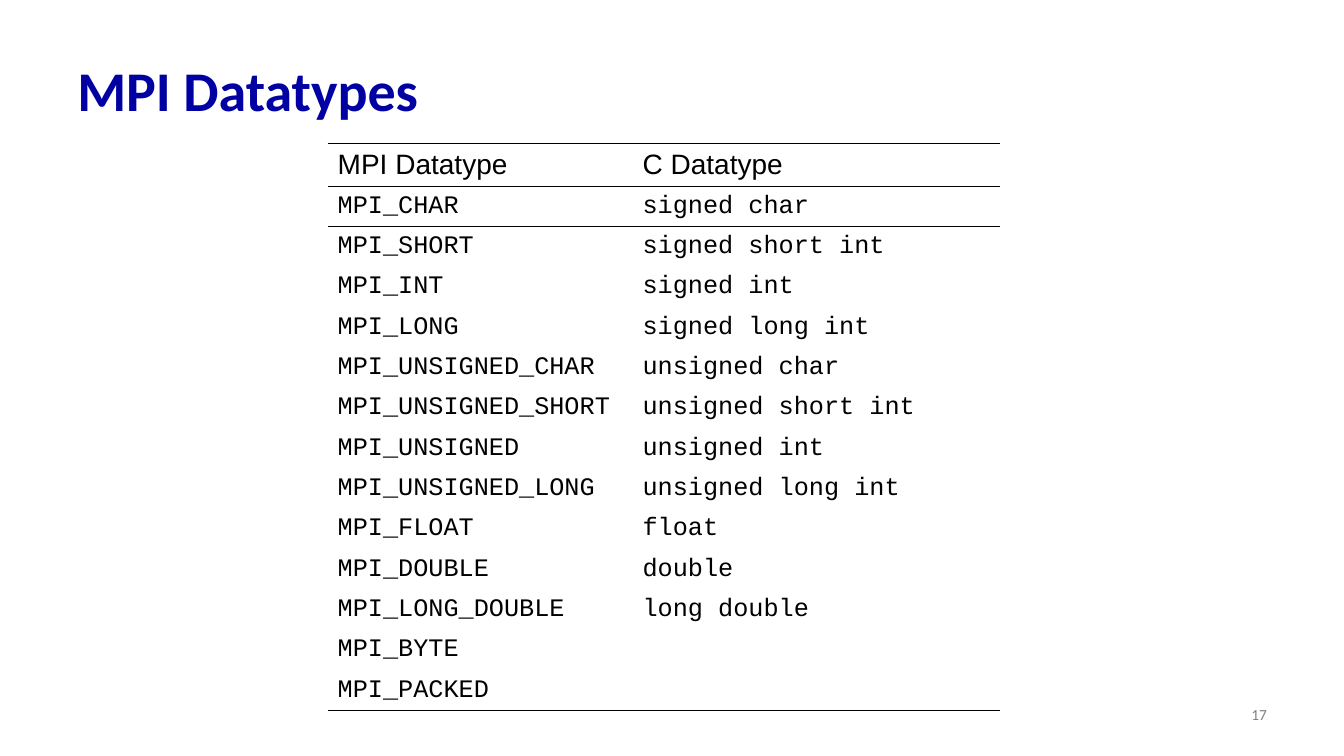
from lxml.etree import SubElement
from pptx import Presentation
from pptx.dml.color import RGBColor
from pptx.enum.text import MSO_ANCHOR, PP_ALIGN
from pptx.oxml.ns import qn
from pptx.util import Inches, Pt

COLS, ROWS = 160, 75
WIDE, HIGH = 13.333, 7.5
PLAIN = "{2D5ABB26-0587-4C30-8999-92F81FD0307C}"  # table style without grid

TYPES = [
    ("MPI Datatype", "C Datatype"),
    ("MPI_CHAR", "signed char"),
    ("MPI_SHORT", "signed short int"),
    ("MPI_INT", "signed int"),
    ("MPI_LONG", "signed long int"),
    ("MPI_UNSIGNED_CHAR", "unsigned char"),
    ("MPI_UNSIGNED_SHORT", "unsigned short int"),
    ("MPI_UNSIGNED", "unsigned int"),
    ("MPI_UNSIGNED_LONG", "unsigned long int"),
    ("MPI_FLOAT", "float"),
    ("MPI_DOUBLE", "double"),
    ("MPI_LONG_DOUBLE", "long double"),
    ("MPI_BYTE", ""),
    ("MPI_PACKED", ""),
]


def color(code):
    return RGBColor.from_string(code)


def across(cols):
    return Inches(cols * WIDE / COLS)


def down(rows):
    return Inches(rows * HIGH / ROWS)


class Deck:
    black, blue, gray = "000000", "0000A3", "808080"
    body, head, code = "Calibri", "Arial", "Courier New"

    def __init__(self):
        self.file = Presentation()
        self.file.slide_width = Inches(WIDE)
        self.file.slide_height = Inches(HIGH)
        self.slide = self.file.slides.add_slide(self.file.slide_layouts[5])

    def run(self, para, text, size, font, ink, bold=False):
        run = para.add_run()
        run.text = text
        run.font.size = Pt(size)
        run.font.name = font
        run.font.bold = bold
        run.font.color.rgb = color(ink)

    def title(self, text, x, y, w, h):
        shape = self.slide.shapes.title
        shape.left, shape.top = across(x), down(y)
        shape.width, shape.height = across(w), down(h)
        shape.text_frame.vertical_anchor = MSO_ANCHOR.MIDDLE
        para = shape.text_frame.paragraphs[0]
        para.alignment = PP_ALIGN.LEFT
        para.line_spacing = 0.9
        self.run(para, text, 40, self.body, self.blue, True)

    def number(self, text, x, y, w, h):
        box = self.slide.shapes.add_textbox(across(x), down(y), across(w), down(h))
        frame = box.text_frame
        frame.word_wrap = True
        frame.vertical_anchor = MSO_ANCHOR.MIDDLE
        para = frame.paragraphs[0]
        para.alignment = PP_ALIGN.RIGHT
        self.run(para, text, 11, self.body, self.gray)

    def rule(self, cell, side):
        line = SubElement(cell._tc.get_or_add_tcPr(), qn(f"a:ln{side}"), w=str(Pt(1)))
        fill = SubElement(line, qn("a:solidFill"))
        SubElement(fill, qn("a:srgbClr"), val=self.black)

    def cell(self, cell, text, size, font, sides):
        for side in sides:
            self.rule(cell, side)
        cell.fill.background()
        cell.vertical_anchor = MSO_ANCHOR.MIDDLE
        cell.margin_top = cell.margin_bottom = Inches(0.04)
        if text:
            para = cell.text_frame.paragraphs[0]
            props = para._p.get_or_add_pPr()
            props.set("marL", str(Inches(0.38)))
            props.set("indent", str(Inches(-0.38)))
            self.run(para, text, size, font, self.black)

    def table(self, data, x, y, widths, first, rest):
        heights = [first] + [rest] * (len(data) - 1)
        frame = self.slide.shapes.add_table(
            len(data), len(widths), across(x), down(y),
            across(sum(widths)), down(sum(heights)))
        table = frame.table
        table.horz_banding = False
        table._tbl.tblPr.find(qn("a:tableStyleId")).text = PLAIN
        for col, width in zip(table.columns, widths):
            col.width = across(width)
        # Rules frame the header and close the last row
        edges = {0: "TB", 1: "T", len(data) - 1: "B"}
        for i, (row, height) in enumerate(zip(table.rows, heights)):
            row.height = down(height)
            size, font = (18, self.code) if i else (20, self.head)
            for cell, text in zip(row.cells, data[i]):
                self.cell(cell, text, size, font, edges.get(i, ""))


def main():
    deck = Deck()
    # Heading
    deck.title("MPI Datatypes", 8, 3, 144, 12.5)
    # Type table
    deck.table(TYPES, 39, 14.2, (36.3, 43.7), 4.3, 4)
    # Page number
    deck.number("17", 114.7, 68.3, 37.3, 5.2)
    deck.file.save("out.pptx")


if __name__ == "__main__":
    main()
